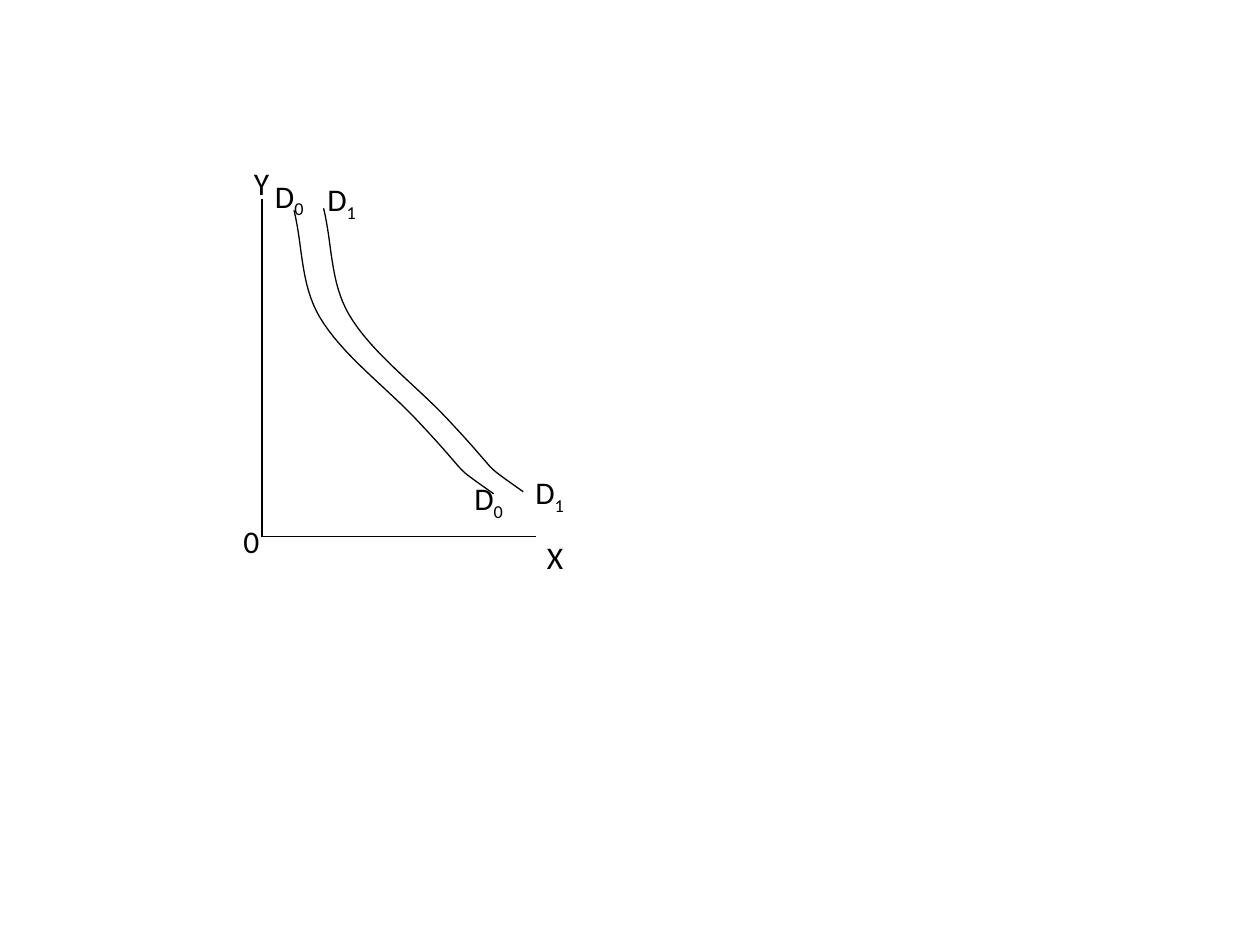
from dataclasses import dataclass

import pptx
import pptx.dml.color
import pptx.enum.shapes
import pptx.enum.text
import pptx.oxml.ns
import pptx.util
from lxml import etree

Pt = pptx.util.Pt
Point = tuple[float, float]

INK = "000000"
LINE_WIDTH = 0.75
LABEL_HEIGHT = 28.8
STEPS = 16

ORIGIN = (149.8, 306.7)
AXIS_ENDS = [(149.8, 113.8), (306, 306.7)]

# Cubic segments of a demand curve, relative to its upper end:
# two control points and an end point each.
DEMAND_SEGMENTS = [
    ((5, 20), (3.6, 41.8), (14.4, 60.5)),
    ((27.4, 82.8), (52.6, 100.8), (71.3, 121)),
    ((103.7, 155.5), (87.8, 143.3), (114.1, 162)),
]
CURVE_STARTS = [(168, 120.2), (184.9, 119)]


@dataclass
class Label:
    text: str
    left: float
    top: float
    width: float = 30
    subscript: str = ""


LABELS = [
    Label("Y", 138, 90),
    Label("0", 132, 295),
    Label("X", 305.5, 304),
    Label("D", 150, 97.4, 36, "0"),
    Label("D", 264, 270, 36, "0"),
    Label("D", 180, 99.4, 43.2, "1"),
    Label("D", 298.8, 267, 43.2, "1"),
]


def color(value: str) -> pptx.dml.color.RGBColor:
    return pptx.dml.color.RGBColor.from_string(value)


def format_line(line) -> None:
    line.width = Pt(LINE_WIDTH)
    line.color.rgb = color(INK)


def add_axis(page, start: Point, end: Point) -> None:
    axis = page.shapes.add_connector(
        pptx.enum.shapes.MSO_CONNECTOR.STRAIGHT, *map(Pt, start + end))
    format_line(axis.line)
    etree.SubElement(axis._element.spPr, pptx.oxml.ns.qn("a:effectLst"))


def demand_points() -> list[Point]:
    """Sample the cubic segments evenly, starting from (0, 0)."""
    points = [(0, 0)]
    for first, second, end in DEMAND_SEGMENTS:
        start = points[-1]
        for step in range(1, STEPS + 1):
            t = step / STEPS
            u = 1 - t
            points.append(tuple(
                u**3 * a + 3 * u * u * t * b + 3 * u * t * t * c + t**3 * d
                for a, b, c, d in zip(start, first, second, end)))
    return points


def add_curve(page, start: Point) -> None:
    points = [(Pt(start[0] + x), Pt(start[1] + y)) for x, y in demand_points()]
    builder = page.shapes.build_freeform(*points[0])
    builder.add_line_segments(points[1:], close=False)
    curve = builder.convert_to_shape()
    curve.fill.background()
    curve.shadow.inherit = False
    format_line(curve.line)


def add_label(page, label: Label) -> None:
    box = page.shapes.add_textbox(
        *map(Pt, (label.left, label.top, label.width, LABEL_HEIGHT)))
    frame = box.text_frame
    frame.word_wrap = True
    frame.auto_size = pptx.enum.text.MSO_AUTO_SIZE.SHAPE_TO_FIT_TEXT
    para = frame.paragraphs[0]
    for text in filter(None, (label.text, label.subscript)):
        span = para.add_run()
        span.text = text
        for name, value in {"name": "Calibri", "size": Pt(18)}.items():
            setattr(span.font, name, value)
        span.font.color.rgb = color(INK)
    if label.subscript:
        span.font._element.set("baseline", "-25000")


def main() -> None:
    deck = pptx.Presentation()
    deck.slide_width, deck.slide_height = Pt(720), Pt(540)
    page = deck.slides.add_slide(deck.slide_layouts.get_by_name("Blank"))
    for end in AXIS_ENDS:
        add_axis(page, ORIGIN, end)
    for start in CURVE_STARTS:
        add_curve(page, start)
    for label in LABELS:
        add_label(page, label)
    deck.save("out.pptx")


if __name__ == "__main__":
    main()
